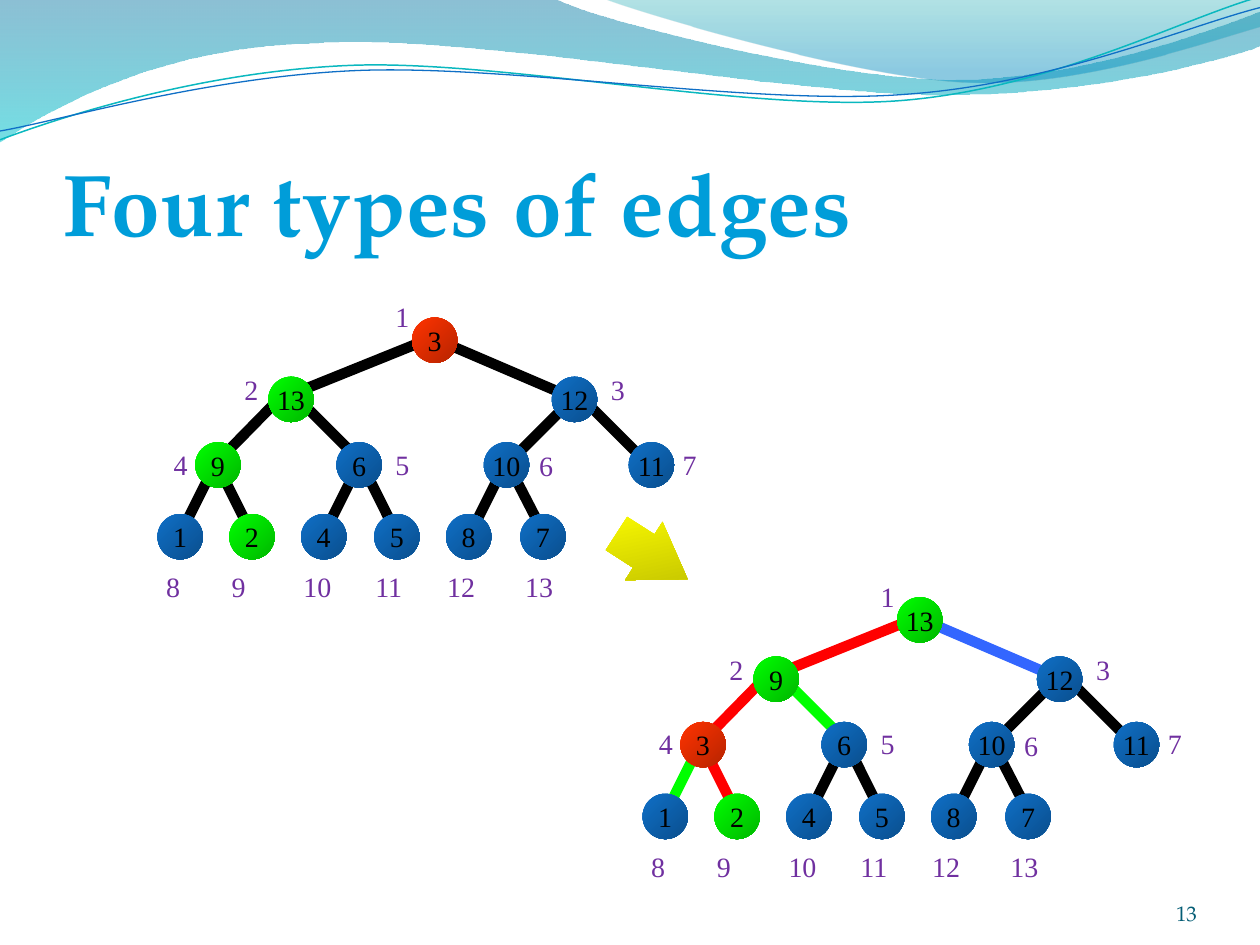
from math import cos, radians, sin

from lxml import etree
from pptx import Presentation
from pptx.dml.color import RGBColor
from pptx.enum.shapes import MSO_CONNECTOR, MSO_SHAPE
from pptx.enum.text import MSO_ANCHOR, MSO_AUTO_SIZE, PP_ALIGN
from pptx.oxml.ns import qn
from pptx.util import Inches, Pt

COLORS = {
    "title": "009DD9", "number": "045D75", "label": "7030A0",
    "black": "000000", "red": "FF0000", "green": "00FF00", "blue": "3366FF",
    "teal wave": "0AB8BF", "blue wave": "0F6FC6",
}
# Gradients: (position, colour, colour change, percent) per stop
GRADS = {name: [(0, color, None, 0), (1, color, "a:shade", 46.8)] for name, color in
         {"node": "0F6FC6", "path": "00FF00", "moved": "FF3300", "arrow": "FFFF00"}.items()}
GRADS["band"] = [(0, "0074A1", "a:alpha", 45), (1, "00C6CF", "a:alpha", 55)]
GRADS["corner"] = [(0, "00A1A9", "a:alpha", 30), (0.8, "008BBF", "a:alpha", 45)]
HEAD_FONT, NODE_FONT = "TeX Gyre Pagella", "Times New Roman"

# Heap position: (node left, label left, label top, edge from parent)
NODE_TOPS = [2.52, 2.99, 3.51, 4.08]
TREE = {
    1: (3.27, 3.04, 2.33, None),
    2: (2.13, 1.84, 2.91, (3.43, 2.68, 2.29, 3.14)),
    3: (4.38, 4.75, 2.91, (3.43, 2.68, 4.62, 3.19)),
    4: (1.55, 1.28, 3.5, (2.24, 3.14, 1.73, 3.66)),
    5: (2.67, 3.04, 3.5, (2.34, 3.14, 2.86, 3.66)),
    6: (3.84, 4.18, 3.51, (4.54, 3.17, 4.02, 3.69)),
    7: (4.99, 5.32, 3.5, (4.62, 3.16, 5.14, 3.68)),
    8: (1.25, 1.22, 4.47, (1.72, 3.66, 1.41, 4.28)),
    9: (1.82, 1.74, 4.47, (1.71, 3.66, 2.02, 4.28)),
    10: (2.39, 2.31, 4.47, (2.86, 3.66, 2.55, 4.28)),
    11: (2.97, 2.88, 4.47, (2.86, 3.66, 3.17, 4.28)),
    12: (3.54, 3.45, 4.47, (4.02, 3.66, 3.71, 4.28)),
    13: (4.13, 4.07, 4.47, (4.02, 3.66, 4.34, 4.28)),
}
NODE_FILLS = {3: "moved", 13: "path", 9: "path", 2: "path"}
LEAVES = [1, 2, 4, 5, 8, 7]
BEFORE = [3, 13, 12, 9, 6, 10, 11] + LEAVES
AFTER = [13, 9, 12, 3, 6, 10, 11] + LEAVES
EDGE_COLORS = {2: "red", 3: "blue", 4: "red", 5: "green", 8: "green", 9: "red"}

# Outlines: a start point, then lines (2 numbers) and curves (6 numbers)
BAND = [(0, 0), (4.4, -0.01), (4.76, 0.17, 6.64, 0.63, 7.58, 0.63),
        (8.53, 0.63, 9.58, 0.26, 10, 0.09), (10.01, 0.36),
        (9.83, 0.44, 8.7, 0.76, 7.46, 0.75), (6.22, 0.75, 3.82, 0.28, 2.57, 0.34),
        (1.29, 0.36, 0.46, 0.83, -0.01, 1.13), (0, 0)]
CORNER = [(4.79, -0.01), (5.09, 0.11, 6.82, 0.62, 7.69, 0.65),
          (8.56, 0.69, 9.61, 0.32, 10, 0.21), (10, 0), (4.79, -0.01)]
TEAL_WAVE = [(0, 1.11), (0.48, 0.93, 1.58, 0.57, 2.77, 0.52),
             (3.95, 0.47, 5.93, 0.89, 7.13, 0.8), (8.33, 0.71, 9.38, 0.15, 9.98, -0.02)]
BLUE_WAVE = [(0, 1.04), (0.47, 0.96, 1.64, 0.61, 2.83, 0.56),
             (4.03, 0.51, 5.97, 0.84, 7.17, 0.75), (8.36, 0.67, 9.41, 0.21, 10, 0.06)]


def rgb(name):
    return RGBColor.from_string(COLORS[name])


class SlideBuilder:
    def __init__(self, prs):
        self.s = prs.slides.add_slide(prs.slide_layouts[5])

    def run(self, p, text, size, color, font=NODE_FONT):
        r = p.add_run()
        r.text = text
        r.font.size, r.font.name = Pt(size), font
        r.font.color.rgb = rgb(color)
        return r

    def gradient(self, sp, name, angle):
        sp.shadow.inherit = False
        sp.line.fill.background()
        sp.fill.gradient()
        sp.fill.gradient_angle = angle
        for stop, (pos, color, change, percent) in zip(sp.fill.gradient_stops, GRADS[name]):
            stop.position = pos
            stop.color.rgb = RGBColor.from_string(color)
            if change:
                clr = stop._gs.find(qn("a:srgbClr"))
                etree.SubElement(clr, qn(change)).set("val", str(round(percent * 1000)))

    def outline(self, box, segments, closed, rotation=0):
        """Draw lines and true curves; points are as seen after the rotation."""
        x, y, w, h = box
        cx, cy, a = x + w / 2, y + h / 2, radians(-rotation)

        def local(px, py):
            dx, dy = px - cx, py - cy
            return (Inches(dx * cos(a) - dy * sin(a) + w / 2),
                    Inches(dx * sin(a) + dy * cos(a) + h / 2))

        chains = [[local(*seg[i:i + 2]) for i in range(0, len(seg), 2)] for seg in segments]
        fb = self.s.shapes.build_freeform(*chains[0][-1], scale=1.0)
        fb.add_line_segments([c[-1] for c in chains[1:]], close=closed)
        sp = fb.convert_to_shape()
        sp.left, sp.top, sp.width, sp.height = map(Inches, box)
        sp.rotation = rotation
        path = sp._element.find(".//" + qn("a:path"))
        path.set("w", str(Inches(w)))
        path.set("h", str(Inches(h)))
        for step, chain in zip(list(path), chains):
            if len(chain) == 3:
                step.tag = qn("a:cubicBezTo")
            for pt in list(step):
                step.remove(pt)
            for px, py in chain:
                etree.SubElement(step, qn("a:pt"), x=str(px), y=str(py))
        return sp

    def band(self, box, segments, grad):
        self.gradient(self.outline(box, segments, True), grad, 270)

    def wave(self, box, segments, color, width):
        sp = self.outline(box, segments, False, 357.3)
        sp.shadow.inherit = False
        sp.fill.background()
        sp.line.color.rgb, sp.line.width = rgb(color), Pt(width)

    def title(self, text):
        sp = self.s.shapes.title
        sp.left, sp.top, sp.width, sp.height = map(Inches, (0.5, 0.77, 9, 1.25))
        tf = sp.text_frame
        tf.auto_size = MSO_AUTO_SIZE.NONE
        tf.vertical_anchor = MSO_ANCHOR.BOTTOM
        tf.margin_left = tf.margin_right = tf.margin_bottom = 0
        p = tf.paragraphs[0]
        p.alignment = PP_ALIGN.LEFT
        r = self.run(p, text, 50, "title", HEAD_FONT)
        r.font.bold = True
        r.font._element.set("spc", "50")

    def slide_number(self, text):
        tf = self.s.shapes.add_textbox(*map(Inches, (8.67, 6.95, 0.83, 0.4))).text_frame
        tf.word_wrap = True
        tf.vertical_anchor = MSO_ANCHOR.BOTTOM
        tf.margin_left = tf.margin_right = tf.margin_top = tf.margin_bottom = 0
        p = tf.paragraphs[0]
        p.alignment = PP_ALIGN.RIGHT
        self.run(p, text, 12, "number", HEAD_FONT)

    def label(self, x, y, text):
        width = 0.31 if len(text) == 1 else 0.42
        tf = self.s.shapes.add_textbox(*map(Inches, (x, y, width, 0.37))).text_frame
        tf.word_wrap = False
        tf.auto_size = MSO_AUTO_SIZE.SHAPE_TO_FIT_TEXT
        self.run(tf.paragraphs[0], text, 16, "label")

    def edge(self, ends, color):
        ln = self.s.shapes.add_connector(MSO_CONNECTOR.STRAIGHT, *map(Inches, ends))
        ln.line.color.rgb, ln.line.width = rgb(color), Pt(6)
        etree.SubElement(ln._element.spPr, qn("a:effectLst"))

    def node(self, x, y, value):
        sp = self.s.shapes.add_shape(MSO_SHAPE.OVAL, *map(Inches, (x, y, 0.36, 0.36)))
        self.gradient(sp, NODE_FILLS.get(value, "node"), 315)
        tf = sp.text_frame
        tf.word_wrap = False
        tf.vertical_anchor = MSO_ANCHOR.MIDDLE
        p = tf.paragraphs[0]
        p.alignment = PP_ALIGN.CENTER
        self.run(p, str(value), 16, "black")

    def arrow(self, x, y, w, h, rotation):
        sp = self.s.shapes.add_shape(MSO_SHAPE.RIGHT_ARROW, *map(Inches, (x, y, w, h)))
        sp.adjustments[0], sp.adjustments[1] = 0.57, 0.75
        sp.rotation = rotation
        self.gradient(sp, "arrow", 315)

    def heap(self, values, edge_colors, dx=0, dy=0):
        for i, (*_, ends) in TREE.items():
            if ends:
                x1, y1, x2, y2 = ends
                self.edge((x1 + dx, y1 + dy, x2 + dx, y2 + dy), edge_colors.get(i, "black"))
        for (i, (x, label_x, label_y, _)), value in zip(TREE.items(), values):
            self.node(x + dx, NODE_TOPS[i.bit_length() - 1] + dy, value)
            self.label(label_x + dx, label_y + dy, str(i))


def main():
    prs = Presentation()
    prs.slide_width, prs.slide_height = Inches(10), Inches(7.5)
    b = SlideBuilder(prs)
    # Header waves
    b.band((-0.01, -0.01, 10.02, 1.14), BAND, "band")
    b.band((4.79, -0.01, 5.21, 0.7), CORNER, "corner")
    b.wave((-0.02, 0.22, 10.02, 0.71), TEAL_WAVE, "teal wave", 0.85)
    b.wave((-0.02, 0.3, 10.03, 0.58), BLUE_WAVE, "blue wave", 0.75)
    # Title and slide number
    b.title("Four types of edges")
    b.slide_number("13")
    # Heap before and after the root sinks
    b.heap(BEFORE, {})
    b.arrow(4.84, 4.14, 0.67, 0.55, 32.7)
    b.heap(AFTER, EDGE_COLORS, 3.85, 2.22)
    prs.save("out.pptx")


if __name__ == "__main__":
    main()
